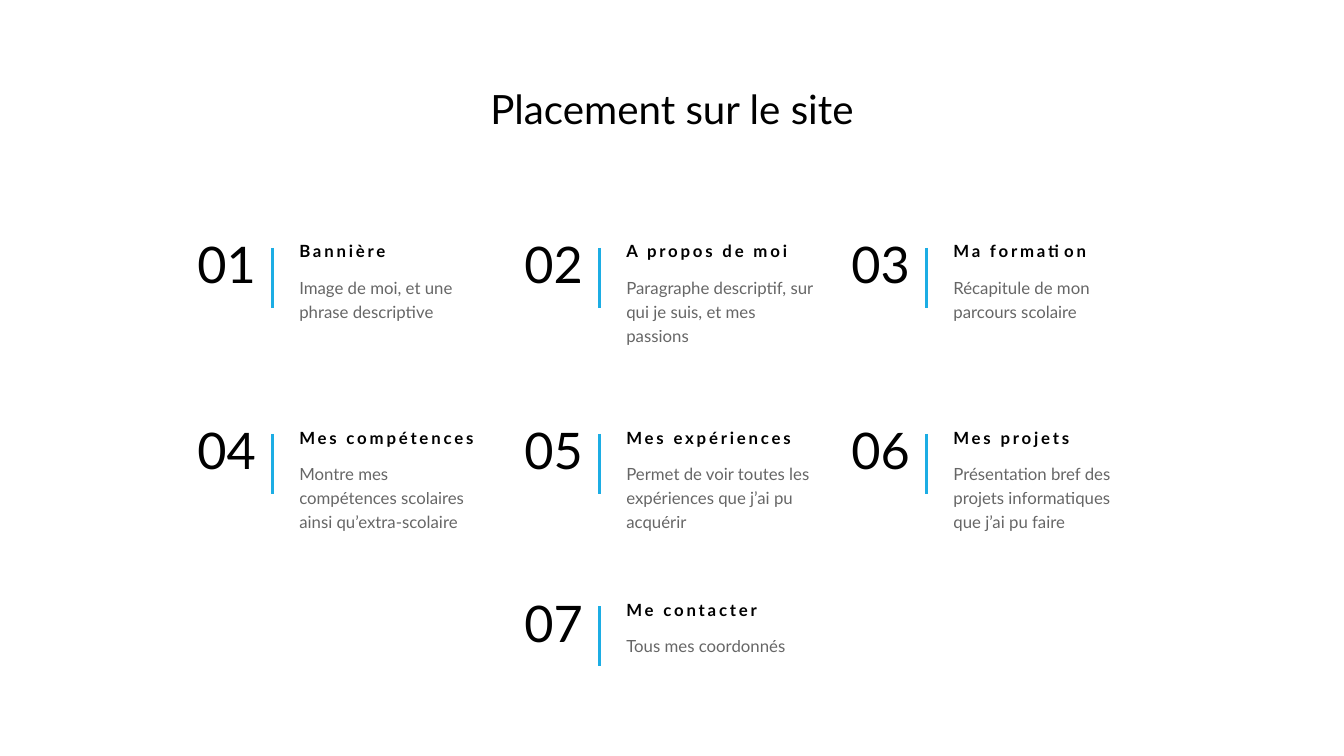
"""Build the slide that lists the seven sections of a personal site."""
from lxml import etree
from pptx import Presentation, util as u
from pptx.dml.color import RGBColor
from pptx.enum import shapes, text
from pptx.oxml.ns import qn

TITLE = "Placement sur le site"
ROWS = [
    {"top": 175, "detail_height": 34, "first_column": 0, "sections": [
        ("Bannière", "Image de moi, et une phrase descriptive"),
        ("A propos de moi", "Paragraphe descriptif, sur qui je suis, et mes passions"),
        ("Ma formation", "Récapitule de mon parcours scolaire"),
    ]},
    {"top": 308, "detail_height": 51, "first_column": 0, "sections": [
        ("Mes compétences", "Montre mes compétences scolaires ainsi qu’extra-scolaire"),
        ("Mes expériences", "Permet de voir toutes les expériences que j’ai pu acquérir"),
        ("Mes projets", "Présentation bref des projets informatiques que j’ai pu faire"),
    ]},
    {"top": 431, "detail_height": 17, "first_column": 1, "sections": [
        ("Me contacter", "Tous mes coordonnés"),
    ]},
]

COLORS = {"ink": "000000", "accent": "1CADE4"}
FONT = "Lato"
LEFT, COLUMN_STEP = 141, 233.6
RULE_X, TEXT_X = 53.5, 72.8
RULE_TOP, RULE_HEIGHT, DETAIL_TOP = 2, 42.8, 20.2
FRAME = {"margin_left": 0, "margin_top": 0, "margin_bottom": 0, "word_wrap": True,
         "auto_size": text.MSO_AUTO_SIZE.SHAPE_TO_FIT_TEXT}
STYLES = {
    "title": {"size": 28.8, "bold": False, "spacing": 0.9},
    "number": {"size": 36, "bold": False, "spacing": 0.8},
    "heading": {"size": 12, "bold": True, "spacing": 0.8, "tracking": 200},
    "detail": {"size": 12, "bold": False, "spacing": 1.2, "opacity": 60000},
}


def write(frame, words, style):
    """Fill a text frame with one styled paragraph."""
    paragraph = frame.paragraphs[0]
    paragraph.line_spacing = style["spacing"]
    run = paragraph.add_run()
    run.text = words
    for name, value in {"name": FONT, "size": u.Pt(style["size"]), "bold": style["bold"]}.items():
        setattr(run.font, name, value)
    run.font.color.rgb = RGBColor.from_string(COLORS["ink"])
    properties = run._r.get_or_add_rPr()
    if "tracking" in style:
        properties.set("spc", str(style["tracking"]))
    if "opacity" in style:
        ink = properties.find(".//" + qn("a:srgbClr"))
        etree.SubElement(ink, qn("a:alpha")).set("val", str(style["opacity"]))
    return paragraph


def add_words(group, words, style, box, margin_right=0):
    """Add a text box to a section."""
    frame = group.shapes.add_textbox(*map(u.Pt, box)).text_frame
    for name, value in {**FRAME, "margin_right": u.Pt(margin_right)}.items():
        setattr(frame, name, value)
    write(frame, words, STYLES[style])


def add_rule(group, x, top):
    """Add the vertical rule between number and text."""
    rule = group.shapes.add_connector(shapes.MSO_CONNECTOR.STRAIGHT, u.Pt(x), u.Pt(top),
                                      u.Pt(x), u.Pt(top + RULE_HEIGHT))
    rule.line.width = u.Pt(2)
    rule.line.color.rgb = RGBColor.from_string(COLORS["accent"])
    etree.SubElement(rule._element.spPr, qn("a:effectLst"))


def add_section(slide, number, heading, detail, x, top, detail_height):
    """Add one numbered section as a group."""
    group = slide.shapes.add_group_shape()
    add_words(group, heading, "heading", (x + TEXT_X, top, 138, 12))
    add_words(group, detail, "detail", (x + TEXT_X, top + DETAIL_TOP, 142, detail_height), 7.2)
    add_words(group, f"{number:02}", "number", (x, top, 61, 36))
    add_rule(group, x + RULE_X, top + RULE_TOP)


def main():
    """Create and save the presentation."""
    deck = Presentation()
    deck.slide_width, deck.slide_height = u.Pt(960), u.Pt(540)
    slide = deck.slides.add_slide(deck.slide_layouts[5])

    title = slide.shapes.title
    for name, value in {"left": 141, "top": 60, "width": 678, "height": 39}.items():
        setattr(title, name, u.Pt(value))
    title.text_frame.vertical_anchor = text.MSO_ANCHOR.MIDDLE
    write(title.text_frame, TITLE, STYLES["title"]).alignment = text.PP_ALIGN.CENTER

    number = 0
    for row in ROWS:
        for column, (heading, detail) in enumerate(row["sections"], row["first_column"]):
            number += 1
            add_section(slide, number, heading, detail, LEFT + column * COLUMN_STEP,
                        row["top"], row["detail_height"])

    deck.save("out.pptx")


if __name__ == "__main__":
    main()
